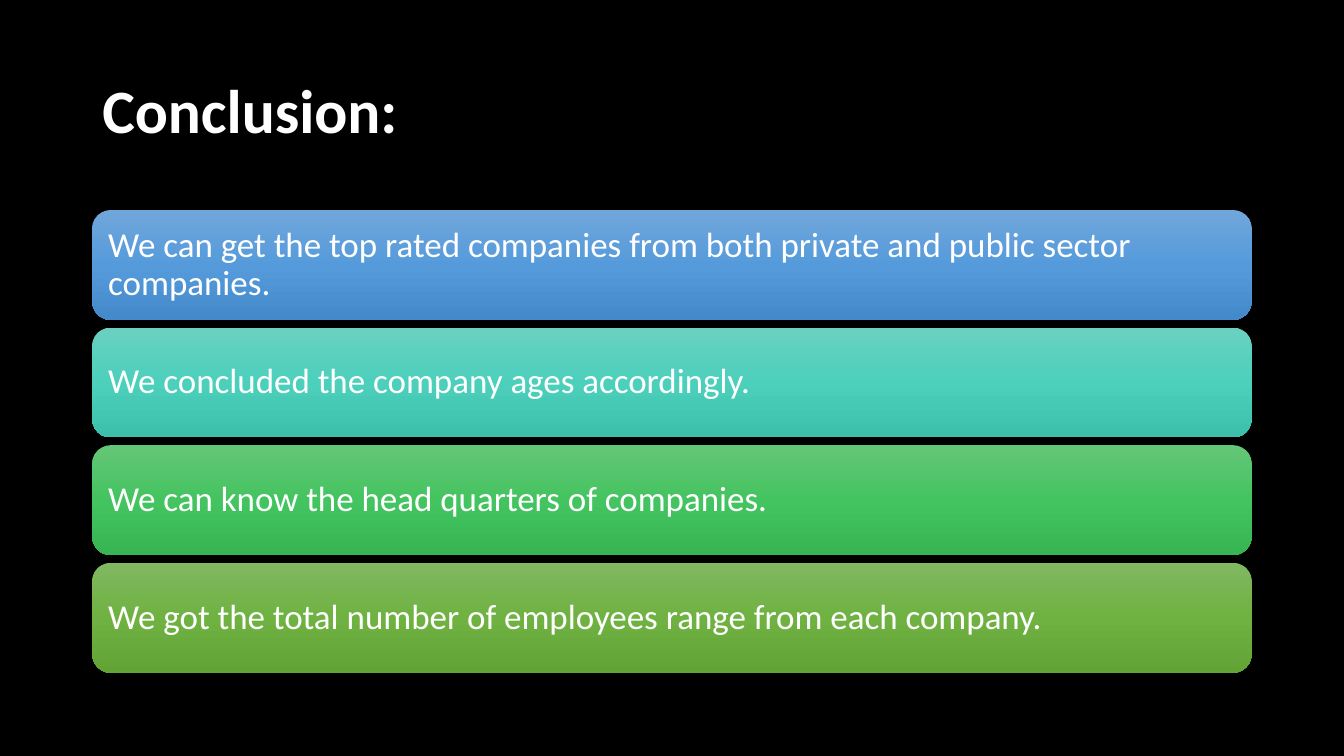
from copy import deepcopy

from pptx import Presentation
from pptx.dml.color import RGBColor
from pptx.enum.shapes import MSO_SHAPE as Shape
from pptx.enum.text import MSO_ANCHOR as Anchor, PP_ALIGN as Align
from pptx.oxml.ns import qn
from pptx.util import Pt

FONT = "Calibri"
COLORS = {
    "background": "000000",
    "text": "FFFFFF",
    "blue": ("71A6DB", "559BDB", "448ACA"),
    "teal": ("6AD1C0", "4CD0BC", "3CC0AC"),
    "green": ("64C677", "44C460", "36B552"),
    "olive": ("81B861", "6FB242", "62A336"),
}
CONCLUSIONS = [
    ("blue", "We can get the top rated companies from both private and public sector companies."),
    ("teal", "We concluded the company ages accordingly."),
    ("green", "We can know the head quarters of companies."),
    ("olive", "We got the total number of employees range from each company."),
]


def write(frame, text, size, inset, bold=False):
    """Fill a frame with one left-aligned, vertically centred paragraph."""
    frame.word_wrap = True
    frame.vertical_anchor = Anchor.MIDDLE
    frame.margin_left = frame.margin_right = Pt(inset)
    paragraph = frame.paragraphs[0]
    paragraph.alignment = Align.LEFT
    paragraph.line_spacing = 0.9
    run = paragraph.add_run()
    run.text = text
    run.font.name = FONT
    run.font.size = Pt(size)
    run.font.bold = bold
    run.font.color.rgb = RGBColor.from_string(COLORS["text"])


def fill_downward(shape, shades):
    """Shade a shape from top to bottom through evenly spaced colours."""
    fill = shape.fill
    fill.gradient()
    fill.gradient_angle = 270
    stop_list = shape.element.spPr.find(qn("a:gradFill")).find(qn("a:gsLst"))
    stop_list.insert(1, deepcopy(stop_list[0]))
    for index, (stop, shade) in enumerate(zip(fill.gradient_stops, shades)):
        stop.position = index / (len(shades) - 1)
        stop.color.rgb = RGBColor.from_string(shade)


def add_title(slide, left, top, width, height):
    title = slide.shapes.add_textbox(Pt(left), Pt(top), Pt(width), Pt(height))
    write(title.text_frame, "Conclusion:", 44, 7.2, bold=True)


def add_conclusions(slide, left, top, width, height, gap=5.5):
    """Stack one rounded bar per conclusion in the given box."""
    bar_height = (height - gap * (len(CONCLUSIONS) - 1)) / len(CONCLUSIONS)
    for row, (hue, text) in enumerate(CONCLUSIONS):
        bar_top = top + row * (bar_height + gap)
        bar = slide.shapes.add_shape(
            Shape.ROUNDED_RECTANGLE, Pt(left), Pt(bar_top), Pt(width), Pt(bar_height))
        bar.shadow.inherit = False
        bar.line.fill.background()
        fill_downward(bar, COLORS[hue])
        write(bar.text_frame, text, 25, 7.5)


def main():
    deck = Presentation()
    deck.slide_width, deck.slide_height = Pt(960), Pt(540)
    slide = deck.slides.add_slide(deck.slide_layouts[6])
    backdrop = slide.background.fill
    backdrop.solid()
    backdrop.fore_color.rgb = RGBColor.from_string(COLORS["background"])
    add_title(slide, 66, 28.75, 828, 104.4)
    add_conclusions(slide, 66, 150, 828, 330.5)
    deck.save("out.pptx")


if __name__ == "__main__":
    main()
